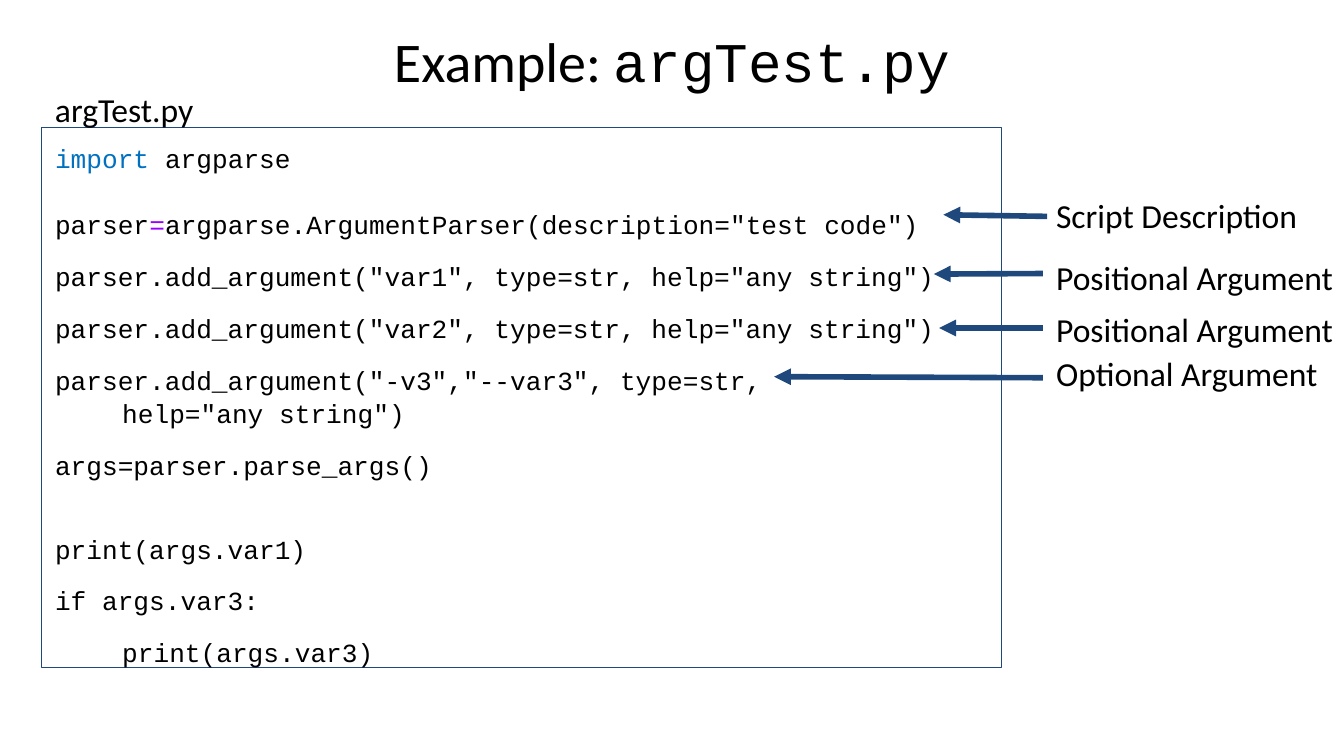
"""Build a slide that explains an argparse script with labelled arrows."""
import pptx
import pptx.dml.color
import pptx.enum.dml
import pptx.enum.shapes
import pptx.enum.text
import pptx.oxml.ns
import pptx.util
from lxml import etree

Cm, Pt = pptx.util.Cm, pptx.util.Pt
SANS, MONO = "Calibri", "Courier New"
BLACK, NAVY, BLUE, PURPLE = "000000", "1F497D", "0070C0", "9900FF"
LINE_SPACING = 1.06
LABEL_LEFT = 19.71

TITLE = [("Example: ", SANS, BLACK), ("argTest.py", MONO, BLACK)]
FILE_NAME = "argTest.py"

# CODE
CODE = [
    {"runs": [("import", BLUE), (" argparse", BLACK)], "before": 0},
    {"runs": [("parser", BLACK), ("=", PURPLE),
              ('argparse.ArgumentParser(description="test code")', BLACK)], "before": 17.5},
    {"runs": [('parser.add_argument("var1", type=str, help="any string")', BLACK)]},
    {"runs": [('parser.add_argument("var2", type=str, help="any string")', BLACK)]},
    {"runs": [('parser.add_argument("-v3","--var3", type=str,', BLACK), None,
              ('\thelp="any string")', BLACK)]},
    {"runs": [("args=parser.parse_args()", BLACK)]},
    {"runs": [("print(args.var1)", BLACK)], "before": 27},
    {"runs": [("if args.var3:", BLACK)]},
    {"runs": [("print(args.var3)", BLACK)], "indent": 1.27},
]

NOTES = [
    {"text": "Script Description", "box": (3.43, 6.58, 1.17), "arrow": (19.79, 4.09, 17.83, 4.06)},
    {"text": "Positional Argument", "box": (4.6, 6.58, 1.17), "arrow": (19.71, 5.17, 17.65, 5.18)},
    {"text": "Positional Argument", "box": (5.59, 6.58, 1.17), "arrow": (19.71, 6.2, 17.75, 6.2)},
    {"text": "Optional Argument", "box": (6.43, 8.33, 1.35), "arrow": (19.71, 7.14, 14.63, 7.12)},
]


def colour(value):
    """Return the colour for a hex string."""
    return pptx.dml.color.RGBColor.from_string(value)


def apply(target, values):
    """Set every attribute named in a dict of format values."""
    for name, value in values.items():
        setattr(target, name, value)


def add_run(paragraph, text, font, size, hex_value):
    """Append a formatted run to a paragraph."""
    run = paragraph.add_run()
    run.text = text
    apply(run.font, {"name": font, "size": Pt(size)})
    run.font.color.rgb = colour(hex_value)


def prepare(shape, box, vertical_inset):
    """Place a text shape and return its first paragraph."""
    apply(shape, dict(zip(("left", "top", "width", "height"), map(Cm, box))))
    apply(shape.text_frame, {
        "word_wrap": True,
        "auto_size": pptx.enum.text.MSO_AUTO_SIZE.NONE,
        "vertical_anchor": pptx.enum.text.MSO_ANCHOR.TOP,
        "margin_left": Cm(0.25), "margin_right": Cm(0.25),
        "margin_top": Cm(vertical_inset), "margin_bottom": Cm(vertical_inset),
    })
    return shape.text_frame.paragraphs[0]


def add_label(slide, text, box, vertical_inset):
    """Add a plain text label."""
    shape = slide.shapes.add_textbox(*map(Cm, box))
    add_run(prepare(shape, box, vertical_inset), text, SANS, 18, BLACK)


def add_arrow(slide, points):
    """Add a straight arrow without shadow."""
    straight = pptx.enum.shapes.MSO_CONNECTOR.STRAIGHT
    arrow = slide.shapes.add_connector(straight, *map(Cm, points))
    arrow.line.color.rgb = colour(NAVY)
    arrow.line.width = Pt(3)
    qualified = pptx.oxml.ns.qn
    etree.SubElement(arrow.line._get_or_add_ln(), qualified("a:tailEnd"), type="triangle")
    etree.SubElement(arrow._element.spPr, qualified("a:effectLst"))


def fill_title(title):
    """Write the slide title."""
    paragraph = prepare(title, (1.27, 0.18, 22.86, 2.39), 0.25)
    apply(paragraph, {"alignment": pptx.enum.text.PP_ALIGN.CENTER, "line_spacing": LINE_SPACING})
    for text, font, hex_value in TITLE:
        add_run(paragraph, text, font, 30, hex_value)


def fill_code(body):
    """Write the framed code listing."""
    paragraph = prepare(body, (0.79, 2.41, 18.14, 10.21), 0.25)
    body.line.color.rgb = colour(NAVY)
    body.line.width = Pt(0.75)
    for index, entry in enumerate(CODE):
        if index:
            paragraph = body.text_frame.add_paragraph()
        apply(paragraph, {"space_before": Pt(entry.get("before", 10)), "space_after": Pt(0),
                          "line_spacing": LINE_SPACING})
        properties = paragraph._p.get_or_add_pPr()
        properties.set("marL", "0")
        properties.set("indent", str(Cm(entry.get("indent", 0))))
        etree.SubElement(properties, pptx.oxml.ns.qn("a:buNone"))
        for run in entry["runs"]:
            if run is None:
                paragraph.add_line_break()
            else:
                add_run(paragraph, run[0], MONO, 14, run[1])


def main():
    """Create and save the presentation."""
    presentation = pptx.Presentation()
    apply(presentation, {"slide_width": Cm(25.4), "slide_height": Cm(14.29)})
    slide = presentation.slides.add_slide(presentation.slide_layouts[1])
    fill_title(slide.shapes.title)
    fill_code(slide.placeholders[1])
    add_label(slide, FILE_NAME, (0.79, 1.55, 3.15, 0.76), 0.13)
    for note in NOTES:
        top, width, height = note["box"]
        add_arrow(slide, note["arrow"])
        add_label(slide, note["text"], (LABEL_LEFT, top, width, height), 0.25)
    presentation.save("out.pptx")


if __name__ == "__main__":
    main()
